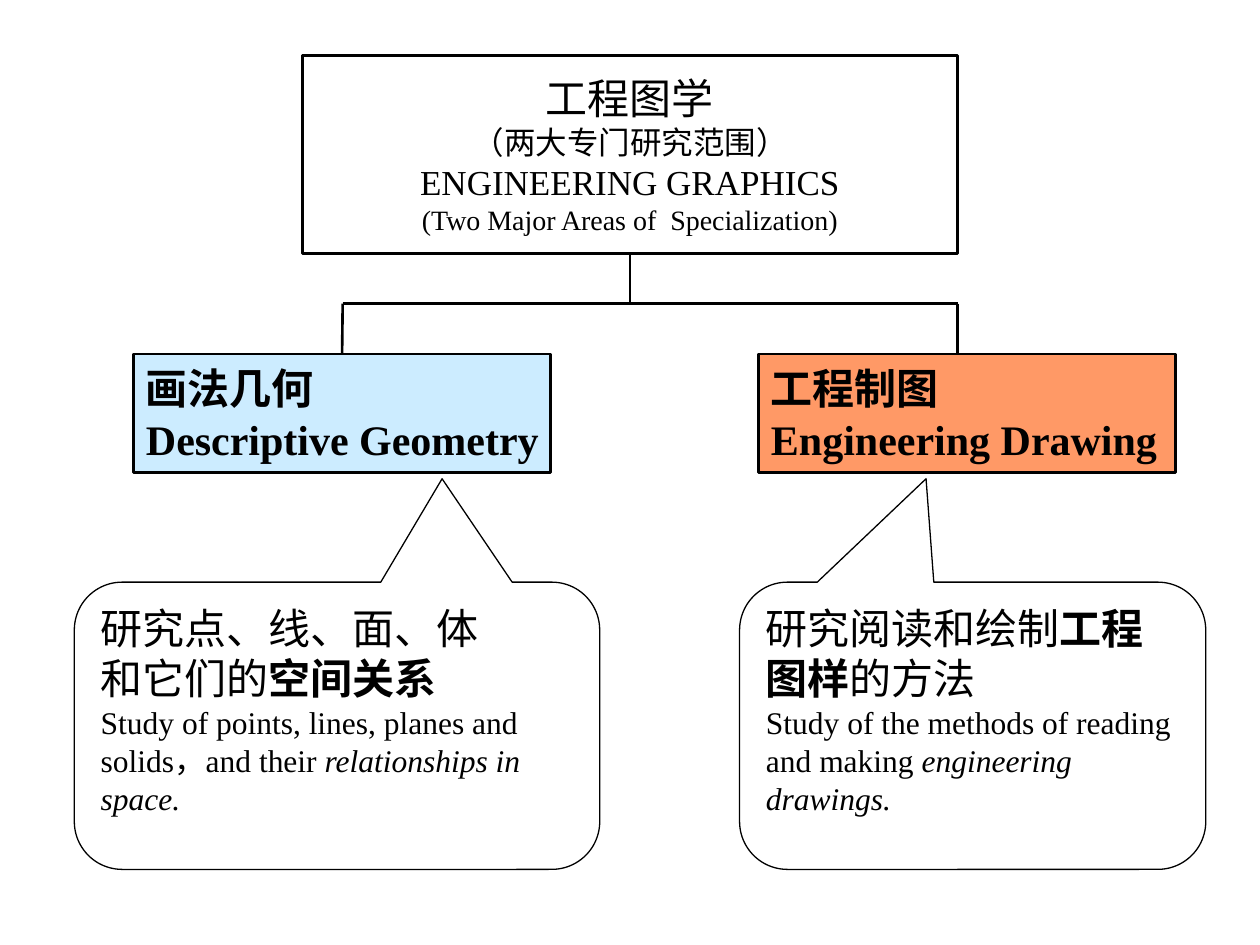
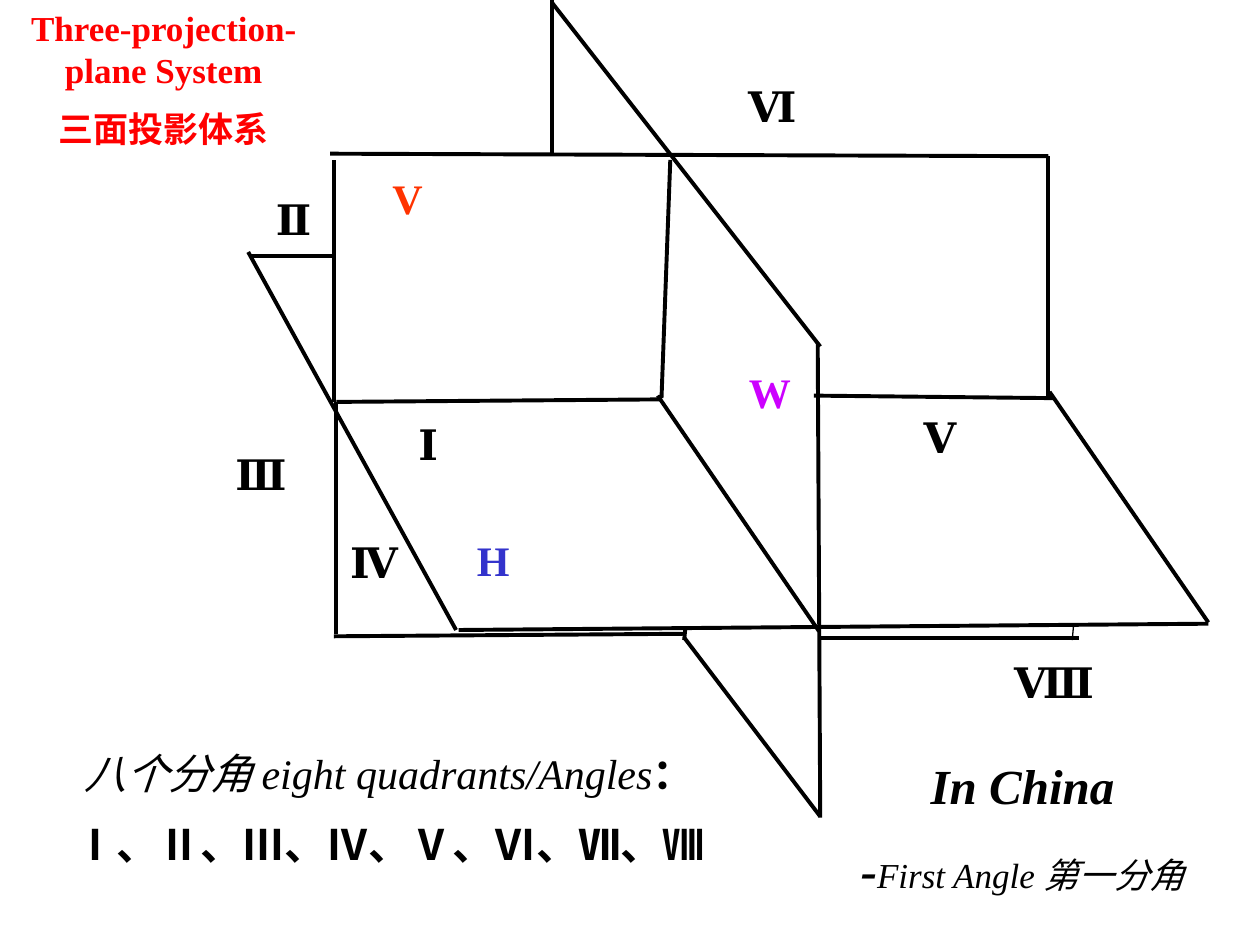
from dataclasses import dataclass
from typing import NamedTuple

from lxml import etree
from pptx import Presentation
from pptx.dml.color import RGBColor
from pptx.enum.shapes import MSO_CONNECTOR, MSO_SHAPE
from pptx.enum.text import MSO_ANCHOR, MSO_AUTO_SIZE, PP_ALIGN
from pptx.oxml.ns import qn
from pptx.util import Inches, Pt

STRAIGHT = MSO_CONNECTOR.STRAIGHT
RECTANGLE = MSO_SHAPE.RECTANGLE
CALLOUT = MSO_SHAPE.ROUNDED_RECTANGULAR_CALLOUT
TOP, MIDDLE = MSO_ANCHOR.TOP, MSO_ANCHOR.MIDDLE
LEFT, CENTER = PP_ALIGN.LEFT, PP_ALIGN.CENTER
FIXED, GROW = MSO_AUTO_SIZE.NONE, MSO_AUTO_SIZE.SHAPE_TO_FIT_TEXT
TITLE_ONLY = 5
TOP_SIDE, BOTTOM_SIDE = 0, 2

FONT = "Times New Roman"
COLORS = {
    "ink": "000000",
    "paper": "FFFFFF",
    "geometry": "CCECFF",
    "drawing": "FF9966",
    "heading": "FF0000",
    "plane_h": "3333CC",
    "plane_v": "FF3300",
    "plane_w": "CC00FF",
}


class Area(NamedTuple):
    left: float
    top: float
    width: float
    height: float


class Edge(NamedTuple):
    x1: float
    y1: float
    x2: float
    y2: float
    weight: float = 2.25


@dataclass(frozen=True)
class Span:
    text: str
    size: int = 24
    bold: bool = False
    italic: bool = False
    color: str = "ink"
    asian_font: bool = False


@dataclass(frozen=True)
class Topic:
    area: Area
    fill: str
    names: tuple[str, str]


@dataclass(frozen=True)
class Remark:
    area: Area
    tip: float
    lines: list[list[Span]]


@dataclass(frozen=True)
class Label:
    text: str
    area: Area
    color: str = "ink"
    wrap: bool = True


def color_of(name: str) -> RGBColor:
    return RGBColor.from_string(COLORS[name])


def place(shape, area: Area) -> None:
    for side, length in area._asdict().items():
        setattr(shape, side, Inches(length))


def write(shape, lines: list[list[Span]], align=LEFT, gap: float = 0, **frame_format) -> None:
    frame = shape.text_frame
    settings = {"word_wrap": True, "vertical_anchor": TOP, "auto_size": FIXED}
    for name, value in (settings | frame_format).items():
        setattr(frame, name, value)
    for index, line in enumerate(lines):
        para = frame.add_paragraph() if index else frame.paragraphs[0]
        para.alignment = align
        para.space_before = Pt(gap * line[0].size if index else 0)
        for span in line:
            run = para.add_run()
            run.text = span.text
            values = {"name": FONT, "size": Pt(span.size), "bold": span.bold, "italic": span.italic}
            for name, value in values.items():
                setattr(run.font, name, value)
            run.font.color.rgb = color_of(span.color)
            if span.asian_font:
                etree.SubElement(run.font._element, qn("a:ea"), typeface=FONT)


def paint(shape, fill: str, weight: float) -> None:
    shape.fill.solid()
    shape.fill.fore_color.rgb = color_of(fill)
    shape.line.color.rgb = color_of("ink")
    shape.line.width = Pt(weight)


def add_box(page, kind, area: Area, fill: str, weight: float):
    box = page.shapes.add_shape(kind, *map(Inches, area))
    box.shadow.inherit = False
    paint(box, fill, weight)
    return box


def add_text(page, area: Area, lines: list[list[Span]], **layout) -> None:
    box = page.shapes.add_textbox(*map(Inches, area))
    write(box, lines, align=CENTER, auto_size=GROW, **layout)


def add_edge(page, edge: Edge):
    line = page.shapes.add_connector(STRAIGHT, *map(Inches, edge[:4]))
    line.line.color.rgb = color_of("ink")
    line.line.width = Pt(edge.weight)
    etree.SubElement(line._element.spPr, qn("a:effectLst"))
    return line


TOPICS = [
    Topic(Area(1.06, 2.81, 3.31, 0.94), "geometry", ("画法几何", "Descriptive Geometry")),
    Topic(Area(6.02, 2.81, 3.31, 0.94), "drawing", ("工程制图", "Engineering Drawing")),
]
REMARKS = [
    Remark(Area(0.59, 4.62, 4.17, 2.28), 0.2, [
        [Span("研究点、线、面、体")],
        [Span("和它们的"), Span("空间关系", bold=True)],
        [Span("Study of points, lines, planes and solids，and their ", 18),
         Span("relationships in space.", 18, italic=True)],
    ]),
    Remark(Area(5.87, 4.62, 3.7, 2.28), -0.1, [
        [Span("研究阅读和绘制"), Span("工程图样", bold=True), Span("的方法")],
        [Span("Study of the methods of reading and making ", 18),
         Span("engineering drawings.", 18, italic=True)],
    ]),
]

PLANE_EDGES = {
    "vertical": [
        Edge(2.62, 1.22, 8.32, 1.24),
        Edge(8.32, 1.24, 8.32, 3.16),
        Edge(6.46, 3.14, 8.36, 3.16),
        Edge(5.24, 3.17, 2.67, 3.19),
        Edge(2.65, 3.19, 2.65, 1.27),
        Edge(2.67, 3.19, 2.67, 5.03),
        Edge(2.65, 5.05, 5.44, 5.03),
        Edge(6.52, 5.06, 8.56, 5.06),
        Edge(8.51, 5.08, 8.52, 4.97, 0.75),
    ],
    "horizontal": [
        Edge(1.98, 2.03, 2.65, 2.03),
        Edge(1.97, 2, 3.62, 5),
        Edge(3.64, 5, 9.59, 4.95),
        Edge(8.33, 3.11, 9.59, 4.94),
        Edge(5.22, 3.14, 6.5, 5.01),
    ],
    "profile": [
        Edge(4.38, 0, 4.38, 1.22),
        Edge(4.38, 0.02, 6.51, 2.75),
        Edge(6.49, 2.72, 6.51, 6.49),
        Edge(6.51, 6.48, 5.43, 5.06),
        Edge(5.43, 5.08, 5.44, 4.98),
        Edge(5.32, 1.27, 5.25, 3.16),
    ],
}
PLANE_LABELS = [
    Label("H", Area(3.54, 4.19, 0.75, 0.5), "plane_h"),
    Label("V", Area(2.82, 1.32, 0.83, 0.5), "plane_v"),
    Label("W", Area(5.76, 2.86, 0.7, 0.5), "plane_w"),
]
QUADRANT_SPOTS = {
    "Ⅰ": (3.13, 3.27),
    "Ⅱ": (2.06, 1.49),
    "Ⅲ": (1.77, 3.51),
    "Ⅳ": (2.68, 4.21),
    "Ⅴ": (7.19, 3.22),
    "Ⅵ": (5.84, 0.59),
    "Ⅷ": (7.95, 5.16),
}
QUADRANT_LABELS = [
    Label(numeral, Area(*spot, 0.54, 0.5), wrap=numeral == "Ⅳ")
    for numeral, spot in QUADRANT_SPOTS.items()
]


def build_overview(page) -> None:
    subject = page.shapes.title
    place(subject, Area(2.4, 0.44, 5.2, 1.57))
    paint(subject, "paper", 1.5)
    write(subject, [
        [Span("工程图学")],
        [Span("（两大专门研究范围）", 18)],
        [Span("ENGINEERING GRAPHICS", 20)],
        [Span("(Two Major Areas of  Specialization)", 16)],
    ], align=CENTER, vertical_anchor=MIDDLE, word_wrap=False)

    boxes = []
    for topic in TOPICS:
        box = add_box(page, RECTANGLE, topic.area, topic.fill, 1.5)
        write(box, [[Span(name, bold=True)] for name in topic.names],
              vertical_anchor=MIDDLE, word_wrap=False)
        boxes.append(box)

    fork, left_end, right_end = 2.41, 2.72, 7.6
    trunk = add_edge(page, Edge(5, 2.01, 5, fork, 1.5))
    trunk.begin_connect(subject, BOTTOM_SIDE)
    add_edge(page, Edge(left_end, fork, right_end, fork, 1.5))
    left_branch = add_edge(page, Edge(left_end, fork, left_end, 2.81, 1.5))
    left_branch.end_connect(boxes[0], TOP_SIDE)
    add_edge(page, Edge(right_end, fork, right_end, 2.81, 1.5))

    for remark in REMARKS:
        callout = add_box(page, CALLOUT, remark.area, "paper", 0.75)
        callout.adjustments[0] = remark.tip
        callout.adjustments[1] = -0.86
        write(callout, remark.lines)


def build_planes(page) -> None:
    place(page.shapes.title, Area(0, 0, 2.6, 1.28))
    write(page.shapes.title, [
        [Span(text, 20, bold=True, color="heading")]
        for text in ("Three-projection-plane System", "三面投影体系")
    ], align=CENTER, gap=0.5)

    for edges in PLANE_EDGES.values():
        for edge in edges:
            add_edge(page, edge)
    for label in PLANE_LABELS + QUADRANT_LABELS:
        span = Span(label.text, bold=True, color=label.color, asian_font=True)
        add_text(page, label.area, [[span]], word_wrap=label.wrap)

    add_text(page, Area(0, 5.88, 6.18, 1.11), [
        [Span("八个分角 eight quadrants/Angles", italic=True), Span("：", bold=True)],
        [Span("Ⅰ、Ⅱ、Ⅲ、Ⅳ、Ⅴ、Ⅵ、Ⅶ、Ⅷ", bold=True)],
    ], gap=0.5)
    add_text(page, Area(6.42, 5.95, 3.39, 1.27), [
        [Span("In China", 28, bold=True, italic=True)],
        [Span("-", 28, bold=True, italic=True), Span("First Angle 第一分角", 20, italic=True)],
    ], gap=0.5)


def main() -> None:
    deck = Presentation()
    deck.slide_width, deck.slide_height = Inches(10), Inches(7.5)
    for build in (build_overview, build_planes):
        build(deck.slides.add_slide(deck.slide_layouts[TITLE_ONLY]))
    deck.save("out.pptx")


if __name__ == "__main__":
    main()
